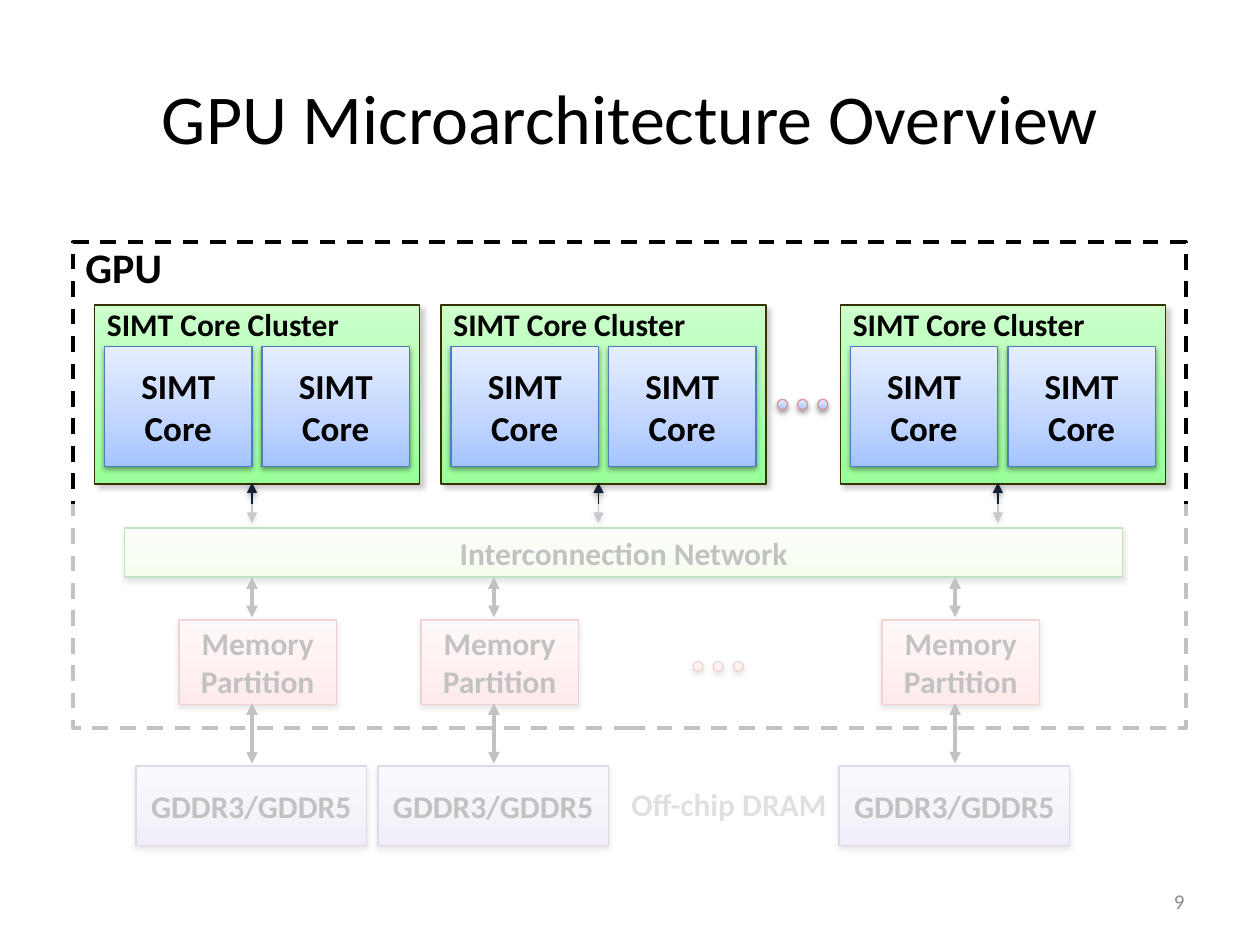
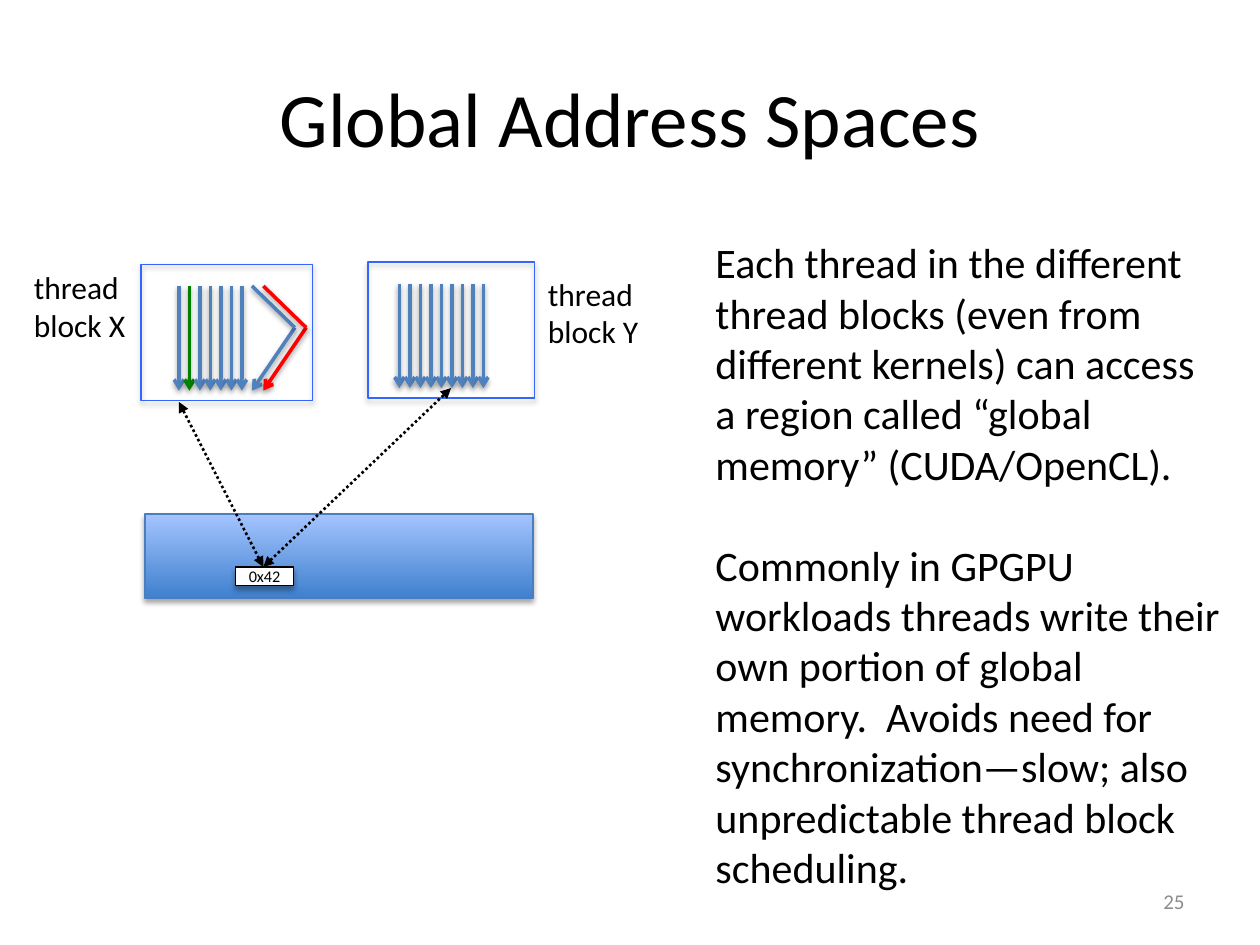
from lxml import etree
from pptx import Presentation
from pptx.dml.color import RGBColor
from pptx.enum.dml import MSO_LINE
from pptx.enum.shapes import MSO_CONNECTOR, MSO_SHAPE
from pptx.enum.text import MSO_ANCHOR, PP_ALIGN
from pptx.oxml.ns import qn
from pptx.util import Inches, Pt

RECT, OVAL = MSO_SHAPE.RECTANGLE, MSO_SHAPE.OVAL
STRAIGHT = MSO_CONNECTOR.STRAIGHT
DASH, DOTS = MSO_LINE.DASH, MSO_LINE.ROUND_DOT
TOP, MIDDLE = MSO_ANCHOR.TOP, MSO_ANCHOR.MIDDLE
LEFT, CENTER, RIGHT = PP_ALIGN.LEFT, PP_ALIGN.CENTER, PP_ALIGN.RIGHT

FONT = "Calibri"
BLACK = RGBColor(0, 0, 0)
WHITE = RGBColor(255, 255, 255)
GRAY = RGBColor(0x8C, 0x8C, 0x8C)
MUTED = RGBColor(0x80, 0x80, 0x80)
BLUE = RGBColor(0x4F, 0x81, 0xBD)
EDGE = RGBColor(0x4B, 0x7E, 0xBC)
FRAME = RGBColor(0x33, 0x66, 0xFF)
NAVY = RGBColor(0x12, 0x20, 0x31)
GREEN = RGBColor(0, 0x80, 0)
OLIVE = RGBColor(0x33, 0x33, 0)
RED = RGBColor(255, 0, 0)
ROSE = RGBColor(0xD9, 0x96, 0x94)
BRICK = RGBColor(0xBF, 0x4C, 0x48)
PURPLE = RGBColor(0x7D, 0x60, 0xA0)

# Gradients run upwards: (percent, colour)
SKY = [(0, "A4C4FF"), (35, "BFD4FF"), (100, "E6EEFF")]
LIME = [(0, "DAFABB"), (50, "E7FBD4"), (100, "F3FDE9")]
PINK = [(0, "FFA6A5"), (35, "FFC0BF"), (100, "FFE7E7")]
MINT = [(0, "99FF99"), (100, "CCFFCC")]
LILAC = [(0, "C9B5E8"), (35, "D8CBEE"), (100, "F0EAF9")]
OCEAN = [(0, "3F80CE"), (100, "A4C4FF")]

# Shadows: opacity, blur, distance, angle
SOFT = (38, 3.1, 1.6, 90)
SLANT = (20, 3, 3, 45)
PALE = (35, 3.1, 1.8, 90)

# Looks of the boxes
CORE = dict(fill=SKY, line=EDGE, shade=SOFT)
CLUSTER = dict(fill=MINT, line=OLIVE, width=1, shade=SLANT)
NETWORK = dict(fill=LIME, line=GREEN, shade=SOFT)
MEMORY = dict(fill=PINK, line=BRICK, shade=SOFT)
DRAM = dict(fill=LILAC, line=PURPLE, shade=SOFT)
BLOCK = dict(line=FRAME, shade=PALE)

# Looks of the text
BOLD = dict(size=18, bold=True, align=CENTER, anchor=MIDDLE, wrap=False)
HEAD = dict(size=18, bold=True, wrap=False, pad=(0, 0.05))

CLUSTERS = [0.75, 3.5, 6.67]
CHANNELS = [2, 3.92, 7.58]
DOT_ROWS = [
    (6.17, 3.17, dict(fill=SKY, line=ROSE, shade=SOFT)),
    (5.5, 5.25, MEMORY),
]
BLOCKS = [  # box, first thread, straight threads, label box, label
    ((1.12, 2.1, 1.36, 1.08), (1.42, 2.27), 7,
     (0.17, 2.08, 0.98, 0.71), "thread block X"),
    ((2.92, 2.08, 1.32, 1.08), (3.17, 2.25), 9,
     (4.25, 2.13, 1.15, 0.71), "thread block Y"),
]
MARKED = (0, 1)  # block and thread drawn in green
BENT = [(2, BLUE), (2.09, RED)]
ACCESS = [(1.42, 3.19), (3.58, 3.08)]
NOTES = [
    "Each thread in the different thread blocks (even from different kernels) "
    "can access a region called “global memory” (CUDA/OpenCL).",
    "Commonly in GPGPU workloads threads write their own portion of global "
    "memory.  Avoids need for synchronization—slow; also unpredictable "
    "thread block scheduling.",
]


def sub(parent, tag, **values):
    attrs = {key: str(val) for key, val in values.items()}
    return etree.SubElement(parent, qn("a:" + tag), attrs)


def inches(values):
    return [Inches(val) for val in values]


def write(shape, lines, size=18, bold=False, color=BLACK, align=LEFT,
          anchor=TOP, wrap=True, pad=(0.05, 0.05), gap=0):
    frame = shape.text_frame
    top, low = inches(pad)
    form = dict(word_wrap=wrap, vertical_anchor=anchor,
                margin_top=top, margin_bottom=low)
    for key, val in form.items():
        setattr(frame, key, val)
    face = dict(name=FONT, size=Pt(size), bold=bold)
    for i, line in enumerate(lines):
        para = frame.add_paragraph() if i else frame.paragraphs[0]
        para.alignment = align
        if i and gap:
            para.space_before = Pt(gap)
        run = para.add_run()
        run.text = line
        for key, val in face.items():
            setattr(run.font, key, val)
        run.font.color.rgb = color


def text(slide, at, lines, **form):
    write(slide.shapes.add_textbox(*inches(at)), lines, **form)


def cast(shape, shade):
    """Give the shape a shadow, or an empty effect list for none."""
    effects = sub(shape._element.spPr, "effectLst")
    if shade:
        alpha, blur, dist, angle = shade
        outer = sub(effects, "outerShdw", blurRad=Pt(blur), dist=Pt(dist),
                    dir=angle * 60000, rotWithShape=0)
        black = sub(outer, "srgbClr", val=BLACK)
        sub(black, "alpha", val=alpha * 1000)


def paint(shape, fill):
    if fill is None:
        shape.fill.background()
    elif isinstance(fill, RGBColor):
        shape.fill.solid()
        shape.fill.fore_color.rgb = fill
    else:
        shape.fill.gradient()
        shape.fill.gradient_angle = 90
        stops = shape._element.spPr.find(".//" + qn("a:gsLst"))
        for stop in list(stops):
            stops.remove(stop)
        for spot, color in fill:
            sub(sub(stops, "gs", pos=spot * 1000), "srgbClr", val=color)


def box(slide, at, kind=RECT, fill=None, line=None, width=0.75,
        dash=None, shade=None):
    shape = slide.shapes.add_shape(kind, *inches(at))
    paint(shape, fill)
    if line is None:
        shape.line.fill.background()
    else:
        shape.line.color.rgb = line
        shape.line.width = Pt(width)
        shape.line.dash_style = dash
    cast(shape, shade)
    return shape


def link(slide, start, end, color=BLACK, width=2.25, dash=None,
         head="triangle", tail="triangle", shade=None):
    line = slide.shapes.add_connector(STRAIGHT, *inches(start + end))
    line.line.color.rgb = color
    line.line.width = Pt(width)
    line.line.dash_style = dash
    stroke = line._element.spPr.find(qn("a:ln"))
    for tag, kind in (("headEnd", head), ("tailEnd", tail)):
        if kind:
            sub(stroke, tag, type=kind)
    cast(line, shade)


def thread(slide, start, end, color=BLUE, tail="arrow"):
    link(slide, start, end, color, 2, head=None, tail=tail, shade=SOFT)


def page(deck, title, size, number):
    slide = deck.slides.add_slide(deck.slide_layouts[6])
    text(slide, (0.5, 0.3, 9, 1.25), [title], size=size,
         align=CENTER, anchor=MIDDLE)
    return slide, lambda: text(
        slide, (7.17, 6.95, 2.33, 0.4), [number], size=12, color=GRAY,
        align=RIGHT, anchor=MIDDLE)


def cluster(slide, left):
    write(box(slide, (left, 2.42, 2.58, 1.42), **CLUSTER),
          ["SIMT Core Cluster"], **HEAD)
    for shift in (0.08, 1.33):
        core = box(slide, (left + shift, 2.75, 1.17, 0.95), **CORE)
        write(core, ["SIMT", "Core"], **{**BOLD, "size": 20})
    mid = left + 1.25
    link(slide, (mid, 3.83), (mid, 4.15), NAVY, 0.75, shade=SOFT)


def channel(slide, mid):
    """Draw a memory partition, its DRAM and the arrows between."""
    write(box(slide, (mid - 0.58, 4.92, 1.25, 0.67), **MEMORY),
          ["Memory", "Partition"], **BOLD)
    write(box(slide, (mid - 0.92, 6.08, 1.83, 0.63), **DRAM),
          ["GDDR3/GDDR5"], **BOLD)
    for top, low in ((5.58, 6.06), (4.58, 4.9)):
        link(slide, (mid, top), (mid, low))


def overview(deck):
    slide, foot = page(deck, "GPU Microarchitecture Overview", 40, "9")
    chip = box(slide, (0.58, 1.92, 8.83, 3.86), line=BLACK, width=2.25,
               dash=DASH)
    write(chip, ["GPU"], **{**HEAD, "size": 24})
    for left, top, look in DOT_ROWS:
        for i in range(3):
            box(slide, (left + i * 0.16, top, 0.08, 0.08), OVAL, **look)
    write(box(slide, (0.99, 4.19, 7.92, 0.39), **NETWORK),
          ["Interconnection Network"], **BOLD)
    for mid in CHANNELS:
        channel(slide, mid)
    for left in CLUSTERS:
        cluster(slide, left)
    text(slide, (4.91, 6.18, 1.75, 0.4), ["Off-chip DRAM"],
         color=MUTED, **BOLD)
    veil = box(slide, (0.5, 4, 9, 2.92), fill=WHITE)
    tint = veil._element.spPr.find(".//" + qn("a:srgbClr"))
    sub(tint, "alpha", val=76000)
    foot()


def spaces(deck):
    slide, foot = page(deck, "Global Address Spaces", 44, "25")
    foot()
    for b, (frame, (left, top), count, spot, label) in enumerate(BLOCKS):
        for i in range(count):
            x = left + i / 12
            color = GREEN if (b, i) == MARKED else BLUE
            thread(slide, (x, top), (x, top + 0.83), color)
        if b == MARKED[0]:
            for x, color in BENT:
                bend = (x + 0.34, 2.6)
                thread(slide, bend, (x, 3.1), color)
                thread(slide, (x, 2.27), bend, color, tail=None)
        box(slide, frame, **BLOCK)
        text(slide, spot, [label])
    box(slide, (1.15, 4.08, 3.08, 0.67), fill=OCEAN, line=EDGE, shade=PALE)
    for end in ACCESS:
        link(slide, (2.09, 4.5), end, width=1.5, dash=DOTS)
    text(slide, (5.58, 1.83, 4.21, 5.35), NOTES, size=24, gap=28.8)
    cell = box(slide, (1.87, 4.5, 0.46, 0.15), fill=WHITE, line=BLACK,
               shade=PALE)
    write(cell, ["0x42"], size=9.3, align=CENTER, anchor=MIDDLE, pad=(0, 0))


def main():
    deck = Presentation()
    deck.slide_width, deck.slide_height = inches((10, 7.5))
    overview(deck)
    spaces(deck)
    deck.save("out.pptx")


if __name__ == "__main__":
    main()
